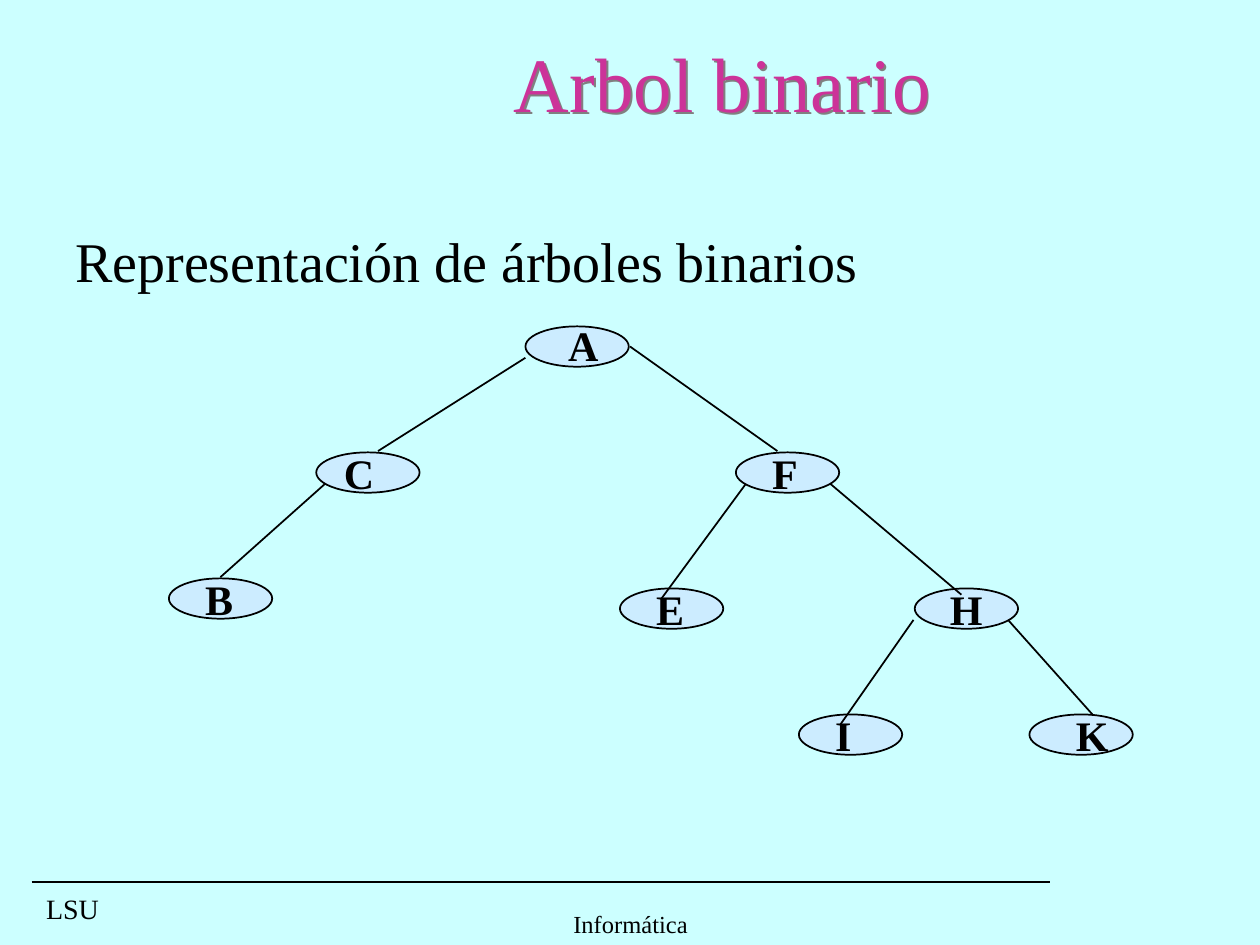
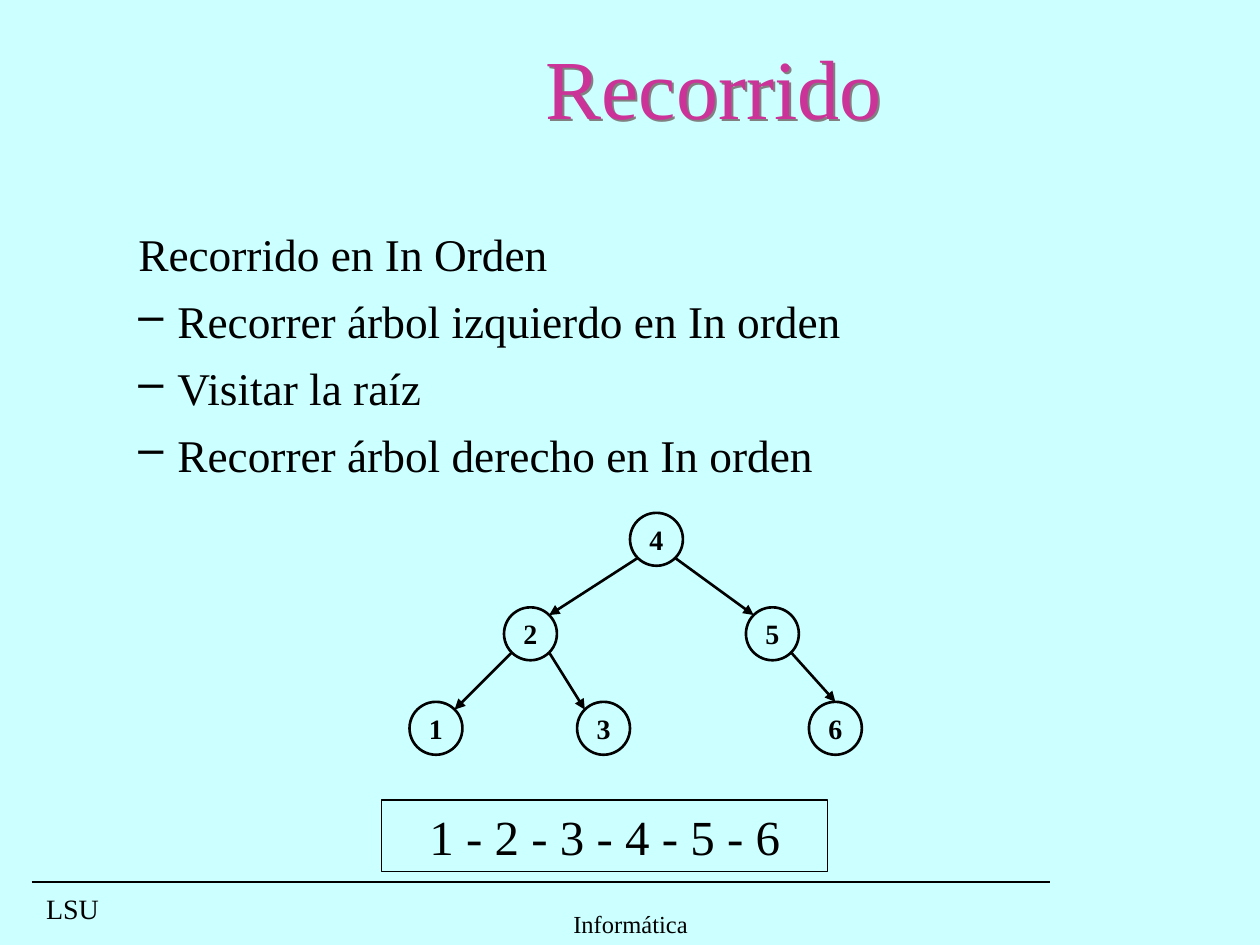
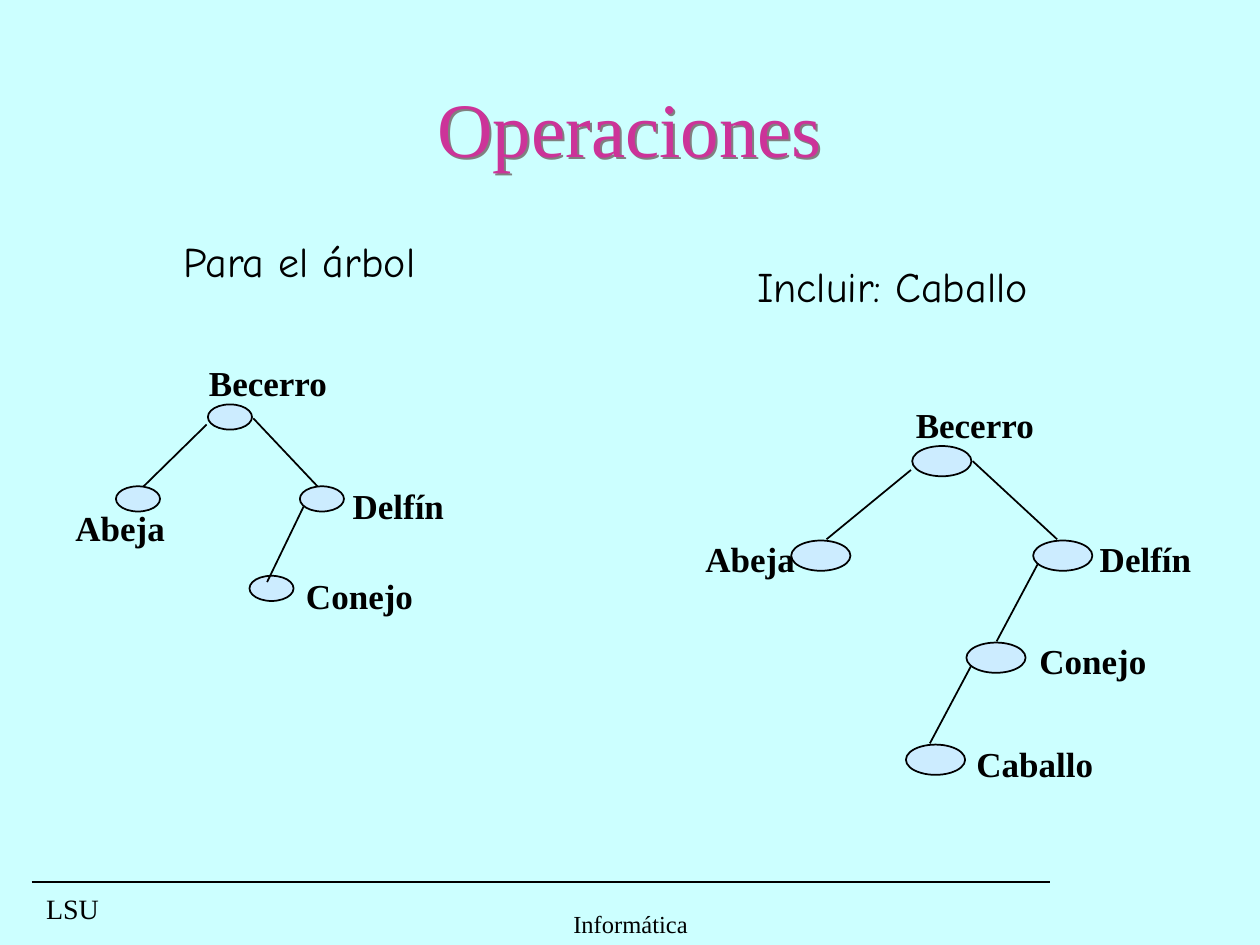
from dataclasses import dataclass
from math import sqrt
from typing import Any, NamedTuple

from lxml import etree
from pptx import Presentation
from pptx.dml.color import RGBColor
from pptx.enum.shapes import MSO_CONNECTOR, MSO_SHAPE
from pptx.enum.text import MSO_ANCHOR, MSO_AUTO_SIZE, PP_ALIGN
from pptx.oxml.ns import qn
from pptx.util import Inches, Pt

LEFT, CENTER = PP_ALIGN.LEFT, PP_ALIGN.CENTER
TOP, MIDDLE, BOTTOM = MSO_ANCHOR.TOP, MSO_ANCHOR.MIDDLE, MSO_ANCHOR.BOTTOM
GROW, FIXED = MSO_AUTO_SIZE.SHAPE_TO_FIT_TEXT, MSO_AUTO_SIZE.NONE
OVAL, RECTANGLE = MSO_SHAPE.OVAL, MSO_SHAPE.RECTANGLE
STRAIGHT = MSO_CONNECTOR.STRAIGHT


# Theme
@dataclass(frozen=True)
class Theme:
    background: RGBColor = RGBColor(0xCC, 0xFF, 0xFF)
    ink: RGBColor = RGBColor(0, 0, 0)
    title: RGBColor = RGBColor(0xCC, 0x33, 0x99)
    node: RGBColor = RGBColor(0xCC, 0xEC, 0xFF)
    shade: str = "808080"
    serif: str = "Times New Roman"
    hand: str = "Comic Neue"
    title_size: float = 44
    big_title_size: float = 48
    body_size: float = 32
    list_size: float = 25.9
    order_size: float = 28
    letter_size: float = 24
    word_size: float = 20
    small_size: float = 16
    footer_size: float = 14
    thin: float = 0.75
    line: float = 1
    bold_line: float = 1.5


THEME = Theme()


class Frame(NamedTuple):
    left: float
    top: float
    width: float
    height: float


class Edge(NamedTuple):
    x1: float
    y1: float
    x2: float
    y2: float


class Label(NamedTuple):
    text: str
    frame: Frame


@dataclass(frozen=True)
class TextStyle:
    size: float
    bold: bool = False
    color: RGBColor = THEME.ink
    font: str = THEME.serif
    align: Any = LEFT
    anchor: Any = TOP
    wrap: bool = True
    fit: Any = FIXED


@dataclass(frozen=True)
class Tree:
    nodes: list[Frame]
    edges: list[Edge]
    labels: list[Label]
    style: TextStyle


LETTER = TextStyle(THEME.letter_size, bold=True, wrap=False, fit=GROW)
WORD = TextStyle(THEME.word_size, bold=True, wrap=False, fit=GROW)
CAPTION = TextStyle(THEME.letter_size, font=THEME.hand, wrap=False, fit=GROW)
NUMBER = TextStyle(THEME.small_size, bold=True, align=CENTER, anchor=MIDDLE, wrap=False)


# Drawing helpers
def set_values(target: Any, values: dict[str, Any]) -> None:
    for name, value in values.items():
        setattr(target, name, value)


def inches(frame: Frame) -> list[Any]:
    return [Inches(value) for value in frame]


def write(shape: Any, lines: list[str], style: TextStyle) -> None:
    text_frame = shape.text_frame
    set_values(text_frame, {"word_wrap": style.wrap, "auto_size": style.fit,
                            "vertical_anchor": style.anchor})
    for index, line in enumerate(lines):
        para = text_frame.add_paragraph() if index else text_frame.paragraphs[0]
        para.alignment = style.align
        span = para.add_run()
        span.text = line
        set_values(span.font, {"size": Pt(style.size), "bold": style.bold, "name": style.font})
        span.font.color.rgb = style.color


def add_text(shapes: Any, frame: Frame, text: str, style: TextStyle) -> Any:
    box = shapes.add_textbox(*inches(frame))
    write(box, [text], style)
    return box


def add_outlined(shapes: Any, kind: Any, frame: Frame, width: float,
                 fill: RGBColor | None = None) -> Any:
    shape = shapes.add_shape(kind, *inches(frame))
    shape.shadow.inherit = False
    if fill is None:
        shape.fill.background()
    else:
        shape.fill.solid()
        shape.fill.fore_color.rgb = fill
    shape.line.color.rgb = THEME.ink
    shape.line.width = Pt(width)
    return shape


def add_line(shapes: Any, edge: Edge, width: float, arrow: bool = False) -> None:
    line = shapes.add_connector(STRAIGHT, *[Inches(value) for value in edge])
    line.line.color.rgb = THEME.ink
    line.line.width = Pt(width)
    if arrow:
        etree.SubElement(line.line._get_or_add_ln(), qn("a:tailEnd"), type="triangle")
    etree.SubElement(line._element.spPr, qn("a:effectLst"))


def add_title(page: Any, frame: Frame, text: str, size: float = THEME.title_size) -> None:
    style = TextStyle(size, color=THEME.title, align=CENTER, anchor=MIDDLE)
    box = add_text(page.shapes, frame, text, style)
    # An unfilled box casts the shadow of its text
    effects = etree.SubElement(box._element.spPr, qn("a:effectLst"))
    shadow = etree.SubElement(effects, qn("a:outerShdw"), dist=str(Pt(1.6)), dir="2700000")
    etree.SubElement(shadow, qn("a:srgbClr"), val=THEME.shade)


def add_tree(shapes: Any, tree: Tree) -> list[Any]:
    ovals = [add_outlined(shapes, OVAL, node, THEME.line, THEME.node) for node in tree.nodes]
    for edge in tree.edges:
        add_line(shapes, edge, THEME.line)
    for label in tree.labels:
        add_text(shapes, label.frame, label.text, tree.style)
    return ovals


def add_page(deck: Any) -> Any:
    page = deck.slides.add_slide(deck.slide_layouts[6])
    add_line(page.shapes, Edge(0.25, 7, 8.33, 7), THEME.line)
    owner = add_text(page.shapes, Frame(0.24, 7.06, 0.67, 0.34), "LSU",
                     TextStyle(THEME.small_size, align=CENTER, fit=GROW))
    owner.text_frame.paragraphs[0].line_spacing = 0.9
    add_text(page.shapes, Frame(3.42, 7.08, 3.17, 0.42), "Informática",
             TextStyle(THEME.footer_size, align=CENTER, anchor=BOTTOM, wrap=False))
    return page


# Slide 1: binary tree of letters
def letter_node(left: float, top: float) -> Frame:
    return Frame(left, top, 0.82, 0.32)


def letter(text: str, left: float, top: float, width: float = 0.42) -> Label:
    return Label(text, Frame(left, top, width, 0.5))


NODE_C = letter_node(2.51, 3.59)
LETTER_TREE = Tree(
    nodes=[NODE_C] + [letter_node(*corner) for corner in (
        (4.17, 2.59), (5.84, 3.59), (1.34, 4.59), (4.92, 4.67),
        (7.26, 4.67), (6.34, 5.67), (8.17, 5.67))],
    edges=[Edge(4.17, 2.84, 3, 3.58), Edge(2.58, 3.84, 1.75, 4.58),
           Edge(5, 2.75, 6.17, 3.58), Edge(6.59, 3.84, 7.63, 4.72),
           Edge(5.92, 3.84, 5.25, 4.75), Edge(7.25, 4.92, 6.67, 5.75),
           Edge(8, 4.92, 8.67, 5.67)],
    labels=[letter("A", 4.41, 2.49), letter("F", 6.03, 3.5), letter("B", 1.53, 4.5),
            letter("E", 5.11, 4.58), letter("H", 7.44, 4.58, 0.46),
            letter("I", 6.53, 5.58, 0.33), letter("K", 8.44, 5.58, 0.46)],
    style=LETTER)


def draw_binary_tree(deck: Any) -> None:
    page = add_page(deck)
    add_title(page, Frame(1.47, 0.04, 8.53, 1.21), "Arbol binario")
    add_text(page.shapes, Frame(0.5, 1.75, 9, 4.95), "Representación de árboles binarios",
             TextStyle(THEME.body_size))
    oval_c = add_tree(page.shapes, LETTER_TREE)[0]
    write(oval_c, ["C"], TextStyle(THEME.letter_size, bold=True, anchor=MIDDLE, wrap=False))


# Slide 2: in-order traversal
CIRCLE = 0.42
CIRCLES = {"4": (5, 4.07), "2": (4, 4.82), "5": (5.92, 4.82),
           "1": (3.25, 5.57), "3": (4.58, 5.57), "6": (6.42, 5.57)}
DIAGONAL = 1 / sqrt(2)
# Parent, child, side of the parent, horizontal and vertical contact on the child
ARROWS = [("4", "5", 1, -DIAGONAL, -DIAGONAL), ("4", "2", -1, DIAGONAL, -DIAGONAL),
          ("2", "1", -1, DIAGONAL, -DIAGONAL), ("2", "3", 1, -DIAGONAL, -DIAGONAL),
          ("5", "6", 1, 0, -1)]
STEPS = ["Recorrido en In Orden", "Recorrer árbol izquierdo en In orden",
         "Visitar la raíz", "Recorrer árbol derecho en In orden"]


def contact(name: str, across: float, down: float) -> tuple[float, float]:
    left, top = CIRCLES[name]
    radius = CIRCLE / 2
    return left + radius * (1 + across), top + radius * (1 + down)


def add_steps(page: Any) -> None:
    box = page.shapes.add_textbox(*inches(Frame(0.5, 1.75, 9, 2.16)))
    write(box, STEPS, TextStyle(THEME.list_size))
    for index, para in enumerate(box.text_frame.paragraphs):
        para_format = para._p.get_or_add_pPr()
        for name, value in {"marL": 0.81, "indent": -0.31}.items():
            para_format.set(name, str(Inches(value)))
        if index:
            para.space_before = Pt(7)
            etree.SubElement(para_format, qn("a:buChar"), char="–")


def draw_traversal(deck: Any) -> None:
    page = add_page(deck)
    add_title(page, Frame(1.5, 0.29, 8.33, 0.79), "Recorrido", THEME.big_title_size)
    add_steps(page)
    for name, corner in CIRCLES.items():
        circle = add_outlined(page.shapes, OVAL, Frame(*corner, CIRCLE, CIRCLE), THEME.bold_line)
        write(circle, [name], NUMBER)
    for parent, child, side, across, down in ARROWS:
        start = contact(parent, side * DIAGONAL, DIAGONAL)
        add_line(page.shapes, Edge(*start, *contact(child, across, down)),
                 THEME.bold_line, arrow=True)
    order = add_outlined(page.shapes, RECTANGLE, Frame(3.03, 6.35, 3.54, 0.57), THEME.thin)
    write(order, ["1 - 2 - 3 - 4 - 5 - 6"],
          TextStyle(THEME.order_size, align=CENTER, fit=GROW))


# Slide 3: insertion, before and after
WORD_WIDTHS = {"Becerro": 1.14, "Delfín": 0.93, "Abeja": 0.91, "Conejo": 1.05, "Caballo": 1.13}


def word(text: str, left: float, top: float) -> Label:
    return Label(text, Frame(left, top, WORD_WIDTHS[text], 0.43))


BEFORE = Tree(
    nodes=[Frame(left, top, 0.35, 0.2) for left, top in (
        (1.65, 3.21), (0.92, 3.86), (2.38, 3.86), (1.98, 4.57))],
    edges=[Edge(1.64, 3.37, 1.14, 3.86), Edge(2.01, 3.32, 2.52, 3.86),
           Edge(2.41, 4.02, 2.12, 4.62)],
    labels=[word("Becerro", 1.56, 2.82), word("Delfín", 2.7, 3.8),
            word("Abeja", 0.5, 3.97), word("Conejo", 2.33, 4.51)],
    style=WORD)
AFTER = Tree(
    nodes=[Frame(left, top, 0.47, 0.24) for left, top in (
        (7.24, 3.54), (6.28, 4.29), (8.2, 4.29), (7.67, 5.1), (7.19, 5.91))],
    edges=[Edge(7.23, 3.73, 6.56, 4.28), Edge(7.72, 3.66, 8.39, 4.28),
           Edge(8.24, 4.47, 7.91, 5.09), Edge(7.71, 5.28, 7.38, 5.9)],
    labels=[word("Becerro", 7.17, 3.15), word("Delfín", 8.63, 4.22),
            word("Abeja", 5.5, 4.22), word("Conejo", 8.15, 5.03),
            word("Caballo", 7.65, 5.84)],
    style=WORD)


def draw_operations(deck: Any) -> None:
    page = add_page(deck)
    add_title(page, Frame(0.5, 0.56, 9, 0.9), "Operaciones")
    for tree in (BEFORE, AFTER):
        add_tree(page.shapes.add_group_shape().shapes, tree)
    add_text(page.shapes, Frame(5.91, 2.02, 2.35, 0.5), "Incluir: Caballo", CAPTION)
    add_text(page.shapes, Frame(1.36, 1.82, 2.06, 0.5), "Para el árbol", CAPTION)


def main() -> None:
    deck = Presentation()
    set_values(deck, {"slide_width": Inches(10), "slide_height": Inches(7.5)})
    backdrop = deck.slide_master.background.fill
    backdrop.solid()
    backdrop.fore_color.rgb = THEME.background
    for draw in (draw_binary_tree, draw_traversal, draw_operations):
        draw(deck)
    deck.save("out.pptx")


if __name__ == "__main__":
    main()
